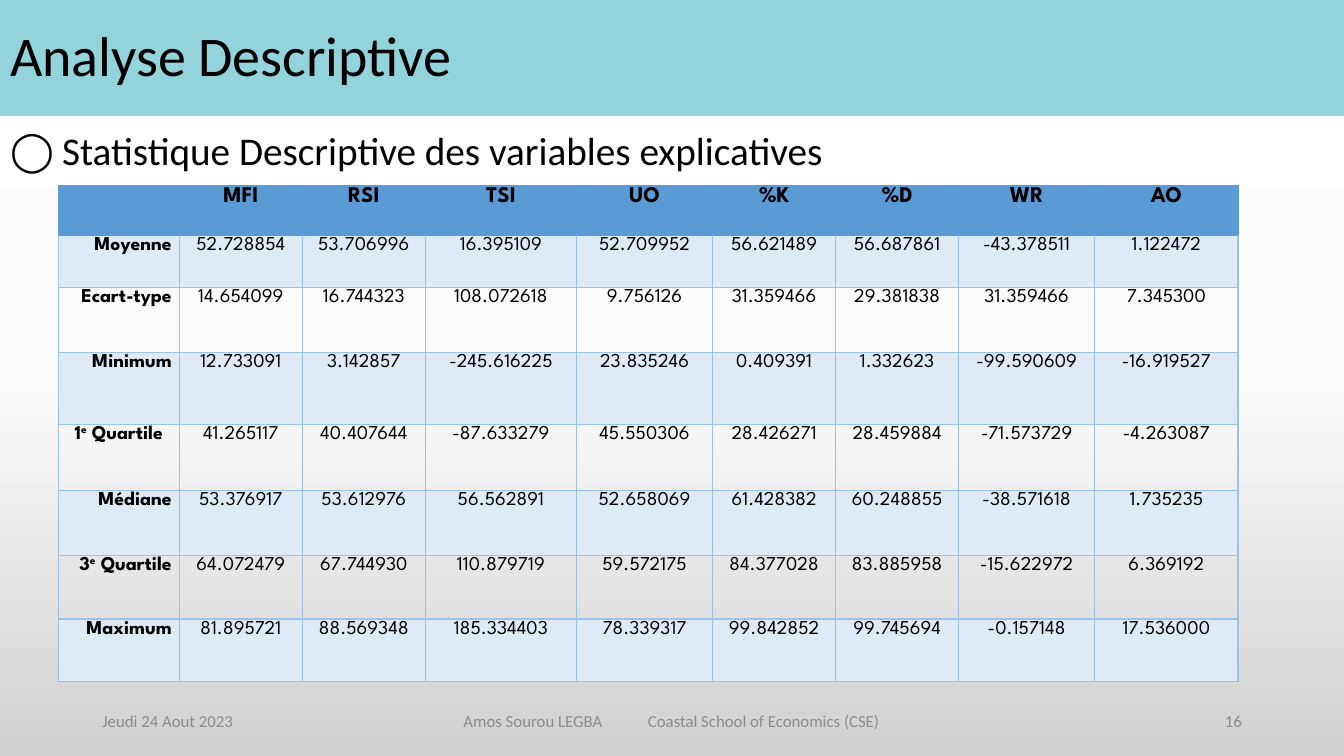
import copy

import pptx
import pptx.dml.color
import pptx.enum.text
import pptx.oxml.ns
import pptx.util
from lxml import etree

Cm = pptx.util.Cm
RGBColor = pptx.dml.color.RGBColor
ALIGN = pptx.enum.text.PP_ALIGN
ANCHOR = pptx.enum.text.MSO_ANCHOR
qn = pptx.oxml.ns.qn

TITLE = "Analyse Descriptive"
SUBTITLE = "Statistique Descriptive des variables explicatives"
BULLET = "◯"
VARIABLES = ["", "MFI", "RSI", "TSI", "UO", "%K", "%D", "WR", "AO"]
STATISTICS = [
    ("Moyenne", "52.728854", "53.706996", "16.395109", "52.709952",
     "56.621489", "56.687861", "-43.378511", "1.122472"),
    ("Ecart-type", "14.654099", "16.744323", "108.072618", "9.756126",
     "31.359466", "29.381838", "31.359466", "7.345300"),
    ("Minimum", "12.733091", "3.142857", "-245.616225", "23.835246",
     "0.409391", "1.332623", "-99.590609", "-16.919527"),
    ("1^e^ Quartile", "41.265117", "40.407644", "-87.633279", "45.550306",
     "28.426271", "28.459884", "-71.573729", "-4.263087"),
    ("Médiane", "53.376917", "53.612976", "56.562891", "52.658069",
     "61.428382", "60.248855", "-38.571618", "1.735235"),
    ("3^e^ Quartile", "64.072479", "67.744930", "110.879719", "59.572175",
     "84.377028", "83.885958", "-15.622972", "6.369192"),
    ("Maximum", "81.895721", "88.569348", "185.334403", "78.339317",
     "99.842852", "99.745694", "-0.157148", "17.536000"),
]
CENTRED_LABELS = {"1^e^ Quartile"}
COLUMN_WIDTHS = [3.05, 3.1, 3.1, 3.81, 3.43, 3.1, 3.1, 3.43, 3.61]
ROW_HEIGHTS = [1.27, 1.3, 1.65, 1.8, 1.68, 1.63, 1.6, 1.57]
FOOTER = [
    ("Jeudi 24 Aout 2023", 2.33, 7.62, ALIGN.LEFT),
    ("Amos Sourou LEGBA", 11.43, 4.3, ALIGN.LEFT),
    ("Coastal School of Economics (CSE)", 16.08, 6.6, ALIGN.LEFT),
    ("16", 23.93, 7.62, ALIGN.RIGHT),
]

BLACK = RGBColor(0x00, 0x00, 0x00)
GREY = RGBColor(0x8C, 0x8C, 0x8C)
TURQUOISE = RGBColor(0x92, 0xD3, 0xDC)
HEADER_BLUE = RGBColor(0x5B, 0x9B, 0xD5)
BAND_BLUE = RGBColor(0xDE, 0xEA, 0xF6)
GRID_BLUE = RGBColor(0x9C, 0xC2, 0xE5)
BACKGROUND = [
    (0, RGBColor(0xFF, 0xFF, 0xFF)),
    (0.5, RGBColor(0xFB, 0xFB, 0xFB)),
    (1, RGBColor(0xD1, 0xD1, 0xD1)),
]


def write(frame, text, size, font="Calibri", color=BLACK, bold=False,
          align=ALIGN.LEFT, anchor=ANCHOR.TOP, spacing=1.0, before=0):
    frame.word_wrap = True
    frame.vertical_anchor = anchor
    paragraph = frame.paragraphs[0]
    paragraph.alignment = align
    paragraph.line_spacing = spacing
    paragraph.space_before = pptx.util.Pt(before)
    paragraph.font.size = pptx.util.Pt(size)
    for index, piece in enumerate(text.split("^")):
        run = paragraph.add_run()
        run.text = piece
        run.font.size = pptx.util.Pt(size)
        run.font.name = font
        run.font.bold = bold
        run.font.color.rgb = color
        if index % 2:
            run.font._element.set("baseline", "30000")
    return paragraph


def border(cell, **sides):
    properties = cell._tc.get_or_add_tcPr()
    for side in "LRTB":
        line = etree.SubElement(properties, qn(f"a:ln{side}"), w="12700")
        fill = etree.SubElement(line, qn("a:solidFill"))
        etree.SubElement(fill, qn("a:srgbClr"), val=str(sides[side]))


def paint_background(slide):
    fill = slide.background.fill
    fill.gradient()
    fill.gradient_angle = 270
    stops = slide.element.find(".//" + qn("a:gsLst"))
    stops.append(copy.deepcopy(stops[0]))
    for stop, (position, color) in zip(fill.gradient_stops, BACKGROUND):
        stop.position = position
        stop.color.rgb = color


def add_headings(slide):
    title, subtitle = slide.placeholders
    title.left, title.top, title.width, title.height = 0, 0, Cm(33.87), Cm(2.92)
    title.fill.solid()
    title.fill.fore_color.rgb = TURQUOISE
    write(title.text_frame, TITLE, 40, anchor=ANCHOR.MIDDLE, spacing=0.9)

    subtitle.left, subtitle.top = 0, Cm(3.2)
    subtitle.width, subtitle.height = Cm(32.69), Cm(15.47)
    paragraph = write(subtitle.text_frame, SUBTITLE, 28, spacing=0.9, before=10)
    for frame in (title.text_frame, subtitle.text_frame):
        frame.auto_size = pptx.enum.text.MSO_AUTO_SIZE.NONE
    properties = paragraph._p.get_or_add_pPr()
    properties.set("marL", str(Cm(1.31)))
    properties.set("indent", str(-Cm(1.31)))
    etree.SubElement(properties, qn("a:buChar"), char=BULLET)


def add_statistics(slide):
    rows = [VARIABLES, *STATISTICS]
    table = slide.shapes.add_table(
        len(rows), len(VARIABLES), Cm(1.47), Cm(4.67),
        Cm(sum(COLUMN_WIDTHS)), Cm(sum(ROW_HEIGHTS))).table
    table.first_row = table.horz_banding = False
    for column, width in zip(table.columns, COLUMN_WIDTHS):
        column.width = Cm(width)
    for r, (values, height) in enumerate(zip(rows, ROW_HEIGHTS)):
        table.rows[r].height = Cm(height)
        header = r == 0
        edge = HEADER_BLUE if header else GRID_BLUE
        top = HEADER_BLUE if r <= 1 else GRID_BLUE
        for c, value in enumerate(values):
            cell = table.cell(r, c)
            cell.margin_left = cell.margin_right = Cm(0.19)
            cell.margin_top = cell.margin_bottom = 0
            label = c == 0 and value not in CENTRED_LABELS
            write(cell.text_frame, value, 16 if header else 14,
                  font="League Spartan", bold=header or c == 0,
                  align=ALIGN.RIGHT if label else ALIGN.CENTER, spacing=1.07)
            border(cell, L=edge, R=edge, T=top, B=edge)
            if header or r % 2:
                cell.fill.solid()
                cell.fill.fore_color.rgb = HEADER_BLUE if header else BAND_BLUE
            else:
                cell.fill.background()


def main():
    deck = pptx.Presentation()
    deck.slide_width, deck.slide_height = Cm(33.87), Cm(19.05)
    slide = deck.slides.add_slide(deck.slide_layouts[1])
    paint_background(slide)
    add_headings(slide)
    for text, left, width, align in FOOTER:
        note = slide.shapes.add_textbox(Cm(left), Cm(17.66), Cm(width), Cm(1.01))
        write(note.text_frame, text, 12, color=GREY, align=align,
              anchor=ANCHOR.MIDDLE)
    add_statistics(slide)
    deck.save("out.pptx")


if __name__ == "__main__":
    main()
